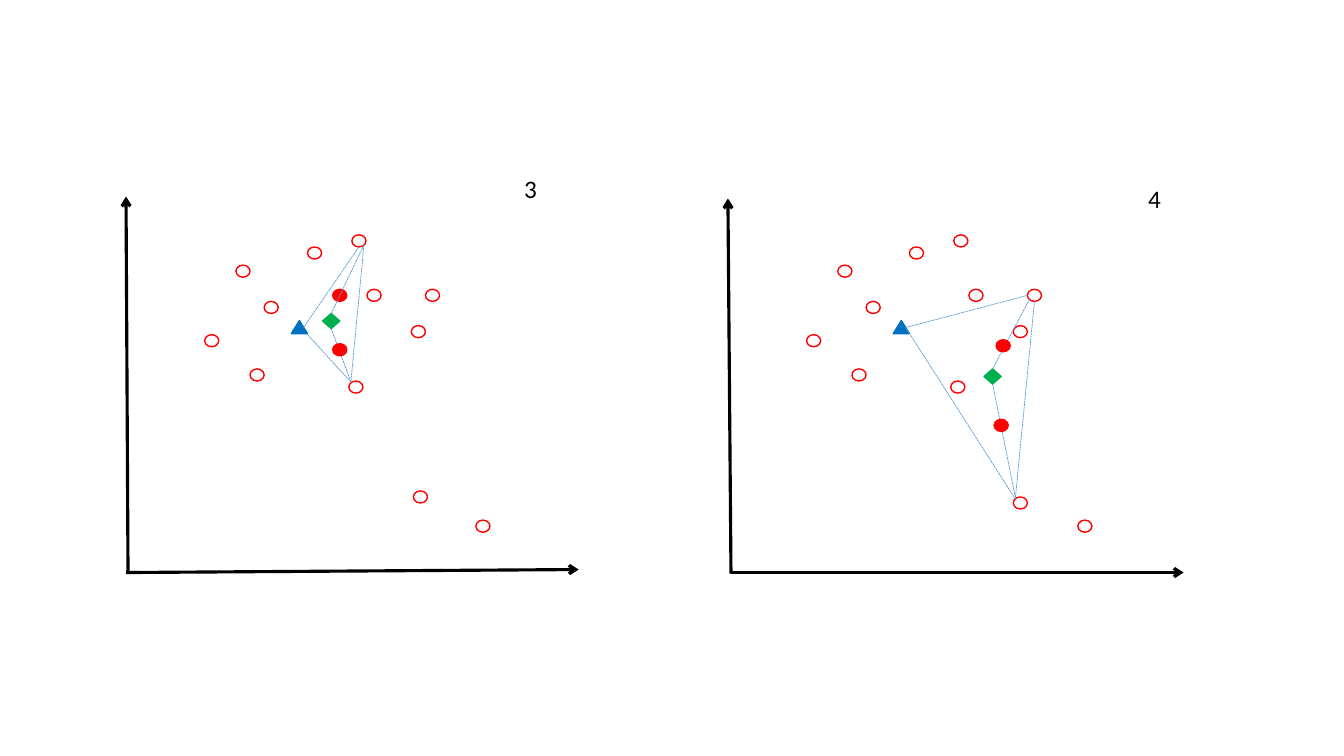
"""Builds a slide with two scatter panels, each showing a triangle of points and its new samples."""
from lxml import etree
from pptx import Presentation
from pptx import util as u
from pptx.dml.color import RGBColor
from pptx.enum import dml, shapes, text
from pptx.oxml.ns import qn

PX = 9144
BLACK = RGBColor(0x00, 0x00, 0x00)
RED = RGBColor(0xFF, 0x00, 0x00)
BLUE = RGBColor(0x00, 0x70, 0xC0)
GREEN = RGBColor(0x00, 0xB0, 0x50)
LIGHT_BLUE = RGBColor(0x5B, 0x9B, 0xD5)
KIND = shapes.MSO_SHAPE
POINT_SIZE = (14, 12)


def add_marker(group, kind, corner, size, color, filled=True):
    marker = group.shapes.add_shape(kind, *(v * PX for v in corner + size))
    marker.shadow.inherit = False
    if filled:
        marker.fill.solid()
        marker.fill.fore_color.rgb = color
    else:
        marker.fill.background()
    marker.line.color.rgb = color
    marker.line.width = u.Pt(1)
    return marker


def add_line(group, ends, color, width):
    line = group.shapes.add_connector(shapes.MSO_CONNECTOR.STRAIGHT, *(v * PX for v in ends))
    line.line.color.rgb = color
    line.line.width = u.Pt(width)
    etree.SubElement(line._element.spPr, qn("a:effectLst"))
    return line


shared_points = [(422, 287), (234, 263), (305, 245), (408, 323), (346, 378), (349, 233),
                 (262, 299), (472, 516), (203, 332), (248, 366), (364, 287)]
query_point = (289, 318)

panels = [
    {
        "number": "3", "number_at": (510, 167), "shift": 0,
        "axes": [(127, 568, 125, 195), (125, 568, 574, 565)],
        "lone_point": (410, 487),
        "samples_behind": [(330, 287)],
        "samples_in_front": [(330, 341)],
        "sides": [(356, 245, 301, 325), (305, 332, 348, 379), (361, 243, 348, 379)],
        "centroid": (320, 311),
        "spokes": [(0, (360, 245)), (2, (348, 379))],
    },
    {
        "number": "4", "number_at": (1129, 177), "shift": 597,
        "axes": [(725, 569, 722, 197), (725, 568, 1174, 568)],
        "lone_point": (1005, 493),
        "samples_behind": [],
        "samples_in_front": [(988, 337), (986, 416)],
        "sides": [(898, 325, 1019, 293), (899, 326, 1007, 495), (1026, 299, 1007, 495)],
        "centroid": (976, 366),
        "spokes": [(0, (1021, 297)), (2, (1007, 493))],
    },
]

prs = Presentation()
prs.slide_width = 1333 * PX
prs.slide_height = 750 * PX
slide = prs.slides.add_slide(prs.slide_layouts[6])

for panel in panels:
    plot = slide.shapes.add_group_shape()
    shift = panel["shift"]

    for ends in panel["axes"]:
        axis = add_line(plot, ends, BLACK, 2.25)
        etree.SubElement(axis.line._get_or_add_ln(), qn("a:tailEnd"), type="arrow")

    shifted_points = [(x + shift, y) for x, y in shared_points]
    for point in shifted_points + [panel["lone_point"]]:
        add_marker(plot, KIND.OVAL, point, POINT_SIZE, RED, filled=False)
    for sample in panel["samples_behind"]:
        add_marker(plot, KIND.OVAL, sample, POINT_SIZE, RED)
    add_marker(plot, KIND.ISOSCELES_TRIANGLE, (query_point[0] + shift, query_point[1]), (16, 13), BLUE)

    for ends in panel["sides"]:
        side = add_line(plot, ends, LIGHT_BLUE, 0.5)
        side.line.dash_style = dml.MSO_LINE.SQUARE_DOT

    centroid = add_marker(plot, KIND.DIAMOND, panel["centroid"], (17, 15), GREEN)
    for site, vertex in panel["spokes"]:
        spoke = add_line(plot, panel["centroid"] + vertex, LIGHT_BLUE, 0.5)
        spoke.line.dash_style = dml.MSO_LINE.SQUARE_DOT
        spoke.begin_connect(centroid, site)

    for sample in panel["samples_in_front"]:
        add_marker(plot, KIND.OVAL, sample, POINT_SIZE, RED)

for panel in panels:
    number = slide.shapes.add_textbox(*(v * PX for v in panel["number_at"] + (33, 40)))
    number.text_frame.word_wrap = False
    number.text_frame.auto_size = text.MSO_AUTO_SIZE.SHAPE_TO_FIT_TEXT
    digit = number.text_frame.paragraphs[0].add_run()
    digit.text = panel["number"]
    digit.font.name = "Calibri"
    digit.font.size = u.Pt(18)
    digit.font.color.rgb = BLACK

prs.save("out.pptx")
